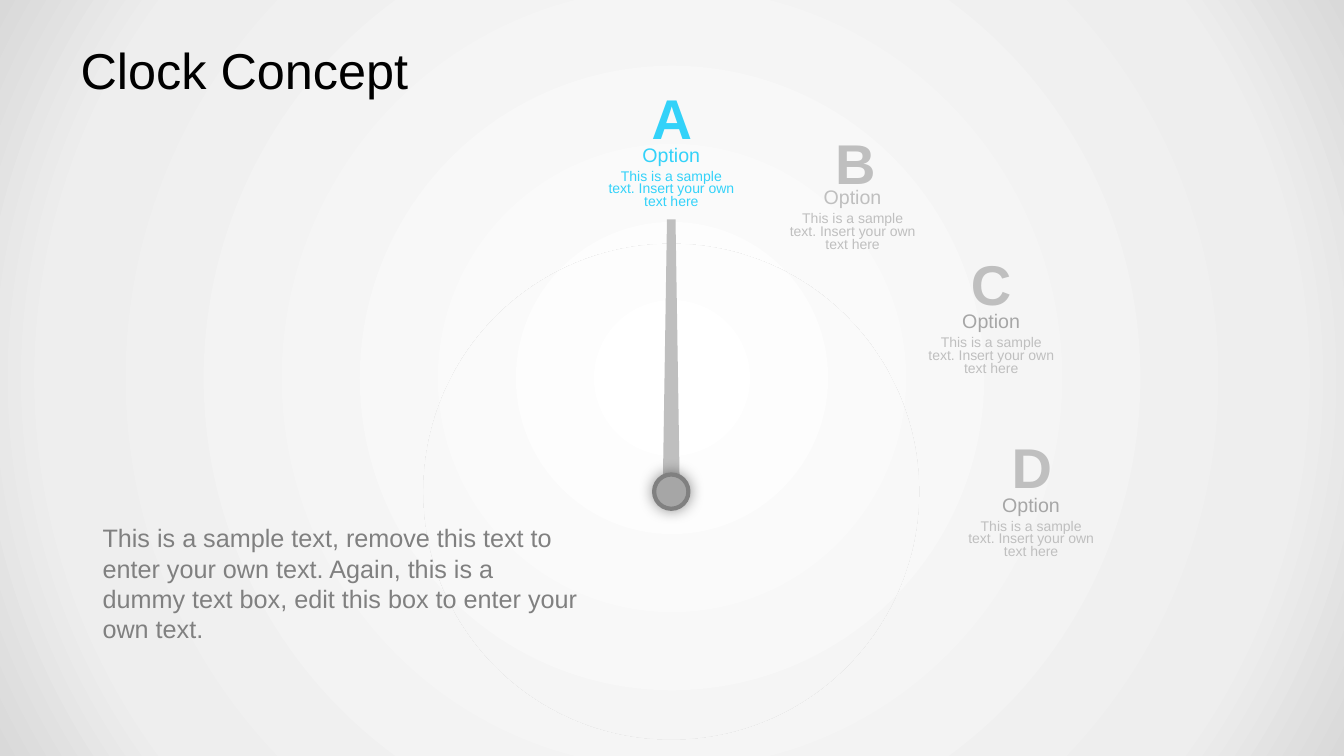
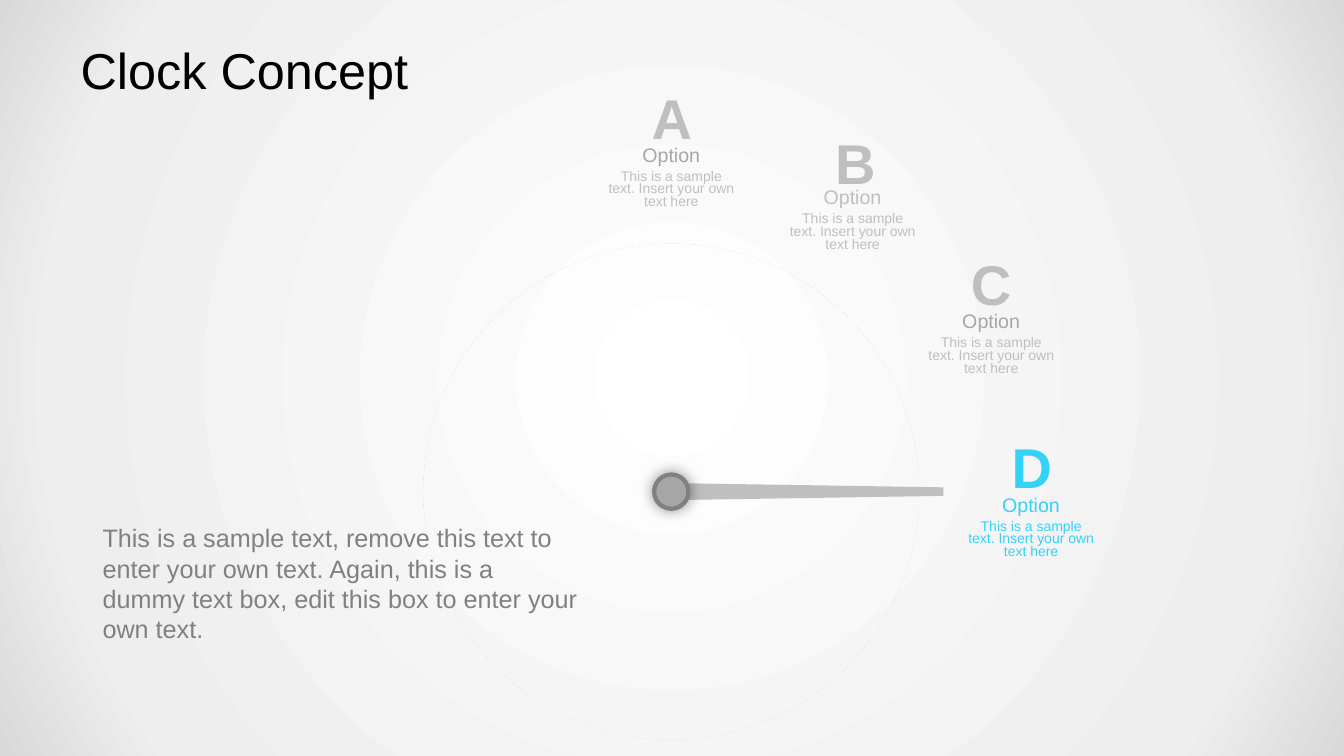
"""Build two clock slides whose hand points at the highlighted option."""
import math

import lxml.etree
import pptx
import pptx.dml.color
import pptx.enum.shapes
import pptx.enum.text
import pptx.oxml
import pptx.oxml.ns
import pptx.util

Pt = pptx.util.Pt
qn = pptx.oxml.ns.qn
SHAPE = pptx.enum.shapes.MSO_SHAPE
ALIGN = pptx.enum.text.PP_ALIGN
AUTO_SIZE = pptx.enum.text.MSO_AUTO_SIZE
DRAWING = 'xmlns:a="http://schemas.openxmlformats.org/drawingml/2006/main"'

BLACK, DARK, MID, LIGHT, ACCENT = "000000", "808080", "A6A6A6", "BFBFBF", "33D2F9"
BACKDROP_STOPS = [(0, "FFFFFF"), (81, "EEEEEE"), (100, "D9D9D9")]
HUB_X, HUB_Y = 479.5, 351.2
DIAL_SIZE, HUB_SIZE = 354, 24.5
HAND_WIDTH, HAND_LENGTH = 12.2, 194.4
BLURB = "This is a sample text. Insert your own text here"
INTRO = ("This is a sample text, remove this text to enter your own text. "
         "Again, this is a dummy text box, edit this box to enter your own text.")
OPTIONS = [
    ("A", 480, 56.2, 479.5, 98.2, MID),
    ("B", 611, 87.8, 609, 128.6, LIGHT),
    ("C", 708, 174.2, 708, 217.2, MID),
    ("D", 737, 305.6, 736.5, 348.2, MID),
]
SLIDES = [("A", 0), ("D", 90)]


def add_text(slide, words, left, top, width, height, size, color, centred=True, wrap=True):
    """Add a text box holding one run and return its frame."""
    frame = slide.shapes.add_textbox(Pt(left), Pt(top), Pt(width), Pt(height)).text_frame
    frame.word_wrap = wrap
    frame.auto_size = AUTO_SIZE.SHAPE_TO_FIT_TEXT if centred else AUTO_SIZE.NONE
    frame.vertical_anchor = pptx.enum.text.MSO_ANCHOR.MIDDLE
    paragraph = frame.paragraphs[0]
    paragraph.alignment = ALIGN.CENTER if centred else ALIGN.LEFT
    run = paragraph.add_run()
    run.text = words
    run.font.name = "Arial"
    run.font.size = Pt(size)
    run.font.color.rgb = pptx.dml.color.RGBColor.from_string(color)
    return frame


def add_part(slide, kind, x, y, width, height, color=None, shadow=""):
    """Add a shape centred on x, y with an optional fill and shadow."""
    part = slide.shapes.add_shape(
        kind, Pt(x - width / 2), Pt(y - height / 2), Pt(width), Pt(height))
    part.line.fill.background()
    part.shadow.inherit = False
    if color:
        part.fill.solid()
        part.fill.fore_color.rgb = pptx.dml.color.RGBColor.from_string(color)
    if shadow:
        part.element.spPr.find(qn("a:effectLst")).append(pptx.oxml.parse_xml(shadow))
    return part


prs = pptx.Presentation()
prs.slide_width, prs.slide_height = Pt(960), Pt(540)

master = prs.slide_master
master.background.fill.solid()
backdrop = master.element.find(".//" + qn("p:bgPr"))
stops = "".join(f'<a:gs pos="{at * 1000}"><a:srgbClr val="{color}"/></a:gs>'
                for at, color in BACKDROP_STOPS)
backdrop.replace(backdrop.find(qn("a:solidFill")), pptx.oxml.parse_xml(
    f'<a:gradFill {DRAWING} rotWithShape="1"><a:gsLst>{stops}</a:gsLst><a:path path="circle">'
    '<a:fillToRect l="50000" t="50000" r="50000" b="50000"/></a:path></a:gradFill>'))

dial_shadow = (
    f'<a:innerShdw {DRAWING} blurRad="{Pt(85)}" dist="{Pt(104)}" dir="{315 * 60000}">'
    f'<a:srgbClr val="{BLACK}"><a:alpha val="20000"/></a:srgbClr></a:innerShdw>')
hub_shadow = (
    f'<a:outerShdw {DRAWING} blurRad="{Pt(12)}" dist="0" dir="0" algn="ctr" rotWithShape="0">'
    f'<a:srgbClr val="{BLACK}"><a:alpha val="60000"/></a:srgbClr></a:outerShdw>')

for chosen, angle in SLIDES:
    slide = prs.slides.add_slide(prs.slide_layouts[6])

    dial = add_part(slide, SHAPE.OVAL, HUB_X, HUB_Y, DIAL_SIZE, DIAL_SIZE, shadow=dial_shadow)
    dial.element.set("useBgFill", "1")
    dial.element.remove(dial.element.find(qn("p:style")))

    for letter, letter_x, letter_top, caption_x, caption_top, caption_color in OPTIONS:
        active = letter == chosen
        color = ACCENT if active else LIGHT
        heading = add_text(slide, letter, letter_x - 22, letter_top, 44, 55.4, 40, color,
                           wrap=False)
        heading.paragraphs[0].runs[0].font.bold = True
        add_text(slide, "Option", caption_x - 28, caption_top, 56, 24.2, 14,
                 ACCENT if active else caption_color, wrap=False)
        blurb = add_text(slide, BLURB, caption_x - 53, caption_top + 20.5, 106, 34.6, 10, color)
        blurb.paragraphs[0].line_spacing = Pt(9)

    turn = math.radians(angle)
    hand = add_part(slide, SHAPE.TRAPEZOID,
                    HUB_X + HAND_LENGTH / 2 * math.sin(turn),
                    HUB_Y - HAND_LENGTH / 2 * math.cos(turn),
                    HAND_WIDTH, HAND_LENGTH, LIGHT)
    hand.rotation = angle

    add_part(slide, SHAPE.OVAL, HUB_X, HUB_Y, HUB_SIZE, HUB_SIZE, BLACK, hub_shadow)
    hub = add_part(slide, SHAPE.OVAL, HUB_X, HUB_Y, HUB_SIZE, HUB_SIZE, MID)
    hub.line.color.rgb = pptx.dml.color.RGBColor.from_string(DARK)
    hub.line.width = Pt(3)

    add_text(slide, INTRO, 66.2, 352, 355, 129, 18, DARK, centred=False)
    title = add_text(slide, "Clock Concept", 48, 21.6, 864, 56.2, 36, BLACK, centred=False)
    title.margin_left = title.margin_right = Pt(9.6)
    title.margin_top = title.margin_bottom = Pt(4.8)

prs.save("out.pptx")
